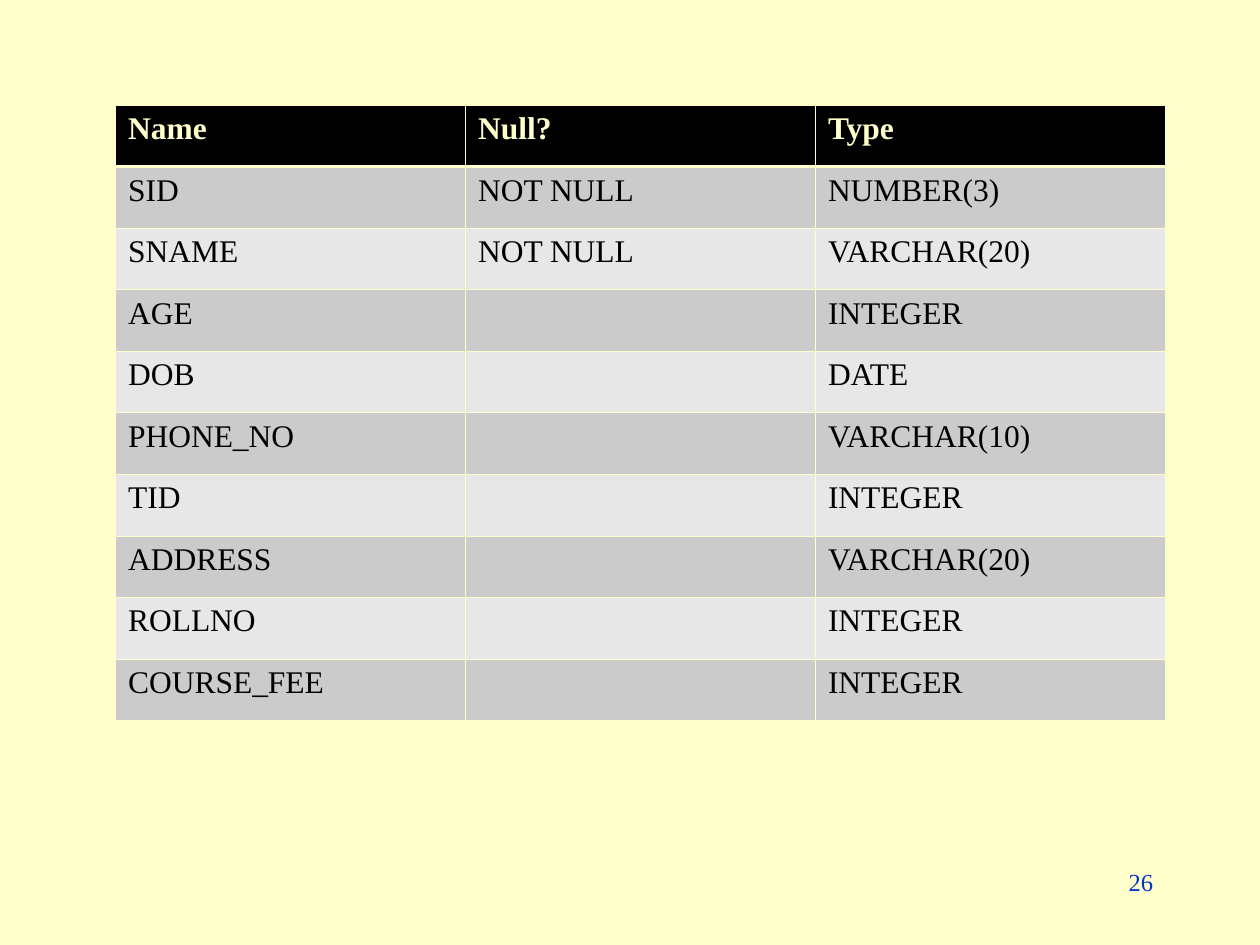
"""Build a slide with the column definitions of a student table."""
import lxml.etree
import pptx
import pptx.dml.color
import pptx.enum.text
import pptx.oxml.ns
import pptx.util

THEME = {
    "font": "Times New Roman",
    "table_size": pptx.util.Pt(18),
    "number_size": pptx.util.Pt(14),
    "cream": "FFFFCC",
    "black": "000000",
    "bands": ("E7E7E7", "CBCBCB"),
    "blue": "0033CC",
    "thin": pptx.util.Pt(0.45),
    "thick": pptx.util.Pt(1.47),
}
COLUMNS = [
    ("Name", "Null?", "Type"),
    ("SID", "NOT NULL", "NUMBER(3)"),
    ("SNAME", "NOT NULL", "VARCHAR(20)"),
    ("AGE", "", "INTEGER"),
    ("DOB", "", "DATE"),
    ("PHONE_NO", "", "VARCHAR(10)"),
    ("TID", "", "INTEGER"),
    ("ADDRESS", "", "VARCHAR(20)"),
    ("ROLLNO", "", "INTEGER"),
    ("COURSE_FEE", "", "INTEGER"),
]


def style_text(paragraph, size, color, bold=False):
    font = paragraph.font
    font.name, font.size, font.bold = THEME["font"], size, bold
    font.color.rgb = pptx.dml.color.RGBColor.from_string(color)


def add_border(cell, side, width):
    name = pptx.oxml.ns.qn
    properties = cell._tc.get_or_add_tcPr()
    line = lxml.etree.SubElement(properties, name(f"a:ln{side}"), w=str(width))
    fill = lxml.etree.SubElement(line, name("a:solidFill"))
    lxml.etree.SubElement(fill, name("a:srgbClr"), val=THEME["cream"])


deck = pptx.Presentation()
deck.slide_width = pptx.util.Inches(10)
deck.slide_height = pptx.util.Inches(7.5)
width, height = deck.slide_width, deck.slide_height
slide = deck.slides.add_slide(deck.slide_layouts[6])
slide.background.fill.solid()
slide.background.fill.fore_color.rgb = pptx.dml.color.RGBColor.from_string(THEME["cream"])

left, right = width * 11 // 120, width * 111 // 120
frame = slide.shapes.add_table(
    len(COLUMNS), len(COLUMNS[0]), left, height // 9, right - left, height * 88 // 135
)
for row_index, values in enumerate(COLUMNS):
    is_header = row_index == 0
    fill_color = THEME["black"] if is_header else THEME["bands"][row_index % 2]
    text_color = THEME["cream"] if is_header else THEME["black"]
    widths = {
        "L": THEME["thin"],
        "R": THEME["thin"],
        "T": THEME["thick"] if row_index == 1 else THEME["thin"],
        "B": THEME["thick"] if is_header else THEME["thin"],
    }
    for column_index, value in enumerate(values):
        cell = frame.table.cell(row_index, column_index)
        cell.text = value
        style_text(cell.text_frame.paragraphs[0], THEME["table_size"], text_color, is_header)
        for side, line_width in widths.items():
            add_border(cell, side, line_width)
        cell.fill.solid()
        cell.fill.fore_color.rgb = pptx.dml.color.RGBColor.from_string(fill_color)

number_width = width * 5 // 24
number_box = slide.shapes.add_textbox(
    right - number_width, height * 41 // 45, number_width, height // 15
)
number_box.text_frame.word_wrap = True
number = number_box.text_frame.paragraphs[0]
number.text = "26"
number.alignment = pptx.enum.text.PP_ALIGN.RIGHT
style_text(number, THEME["number_size"], THEME["blue"])

deck.save("out.pptx")
